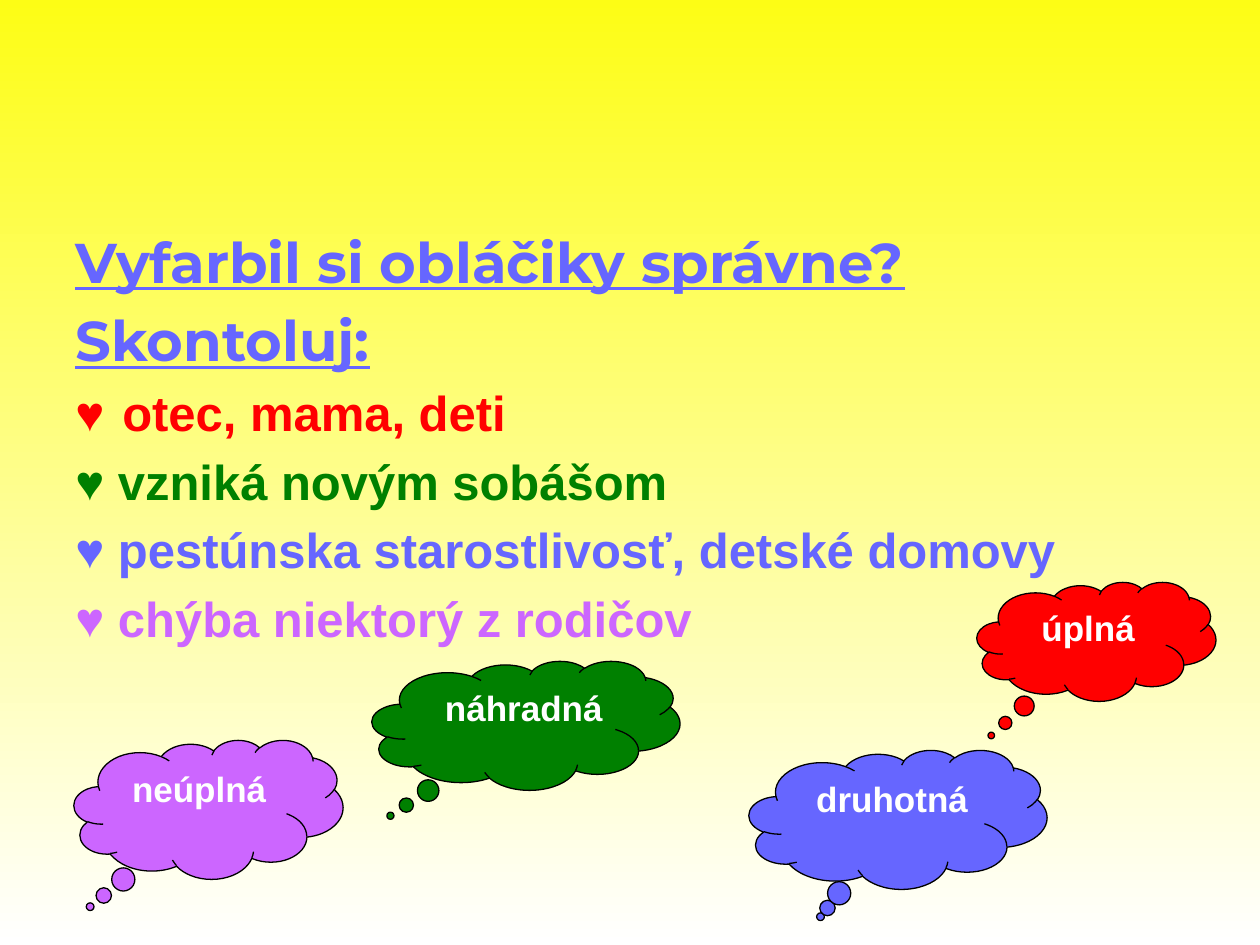
"""Builds the slide on family structure with four coloured thought clouds."""
from pptx import Presentation
from pptx.dml.color import RGBColor
from pptx.enum.shapes import MSO_SHAPE as SHAPE
from pptx.enum.text import MSO_ANCHOR as ANCHOR, PP_ALIGN as ALIGN
from pptx.util import Emu, Pt

RED, GREEN, BLUE, VIOLET = "FF0000", "008000", "6666FF", "CC66FF"
QUESTIONS = ["Vyfarbil si obláčiky správne?", "Skontoluj:"]
ANSWERS = [
    ("♥\totec, mama, deti", RED),
    ("♥ vzniká novým sobášom", GREEN),
    ("♥ pestúnska starostlivosť, detské domovy", BLUE),
    ("♥ chýba niektorý z rodičov", VIOLET),
]
CLOUDS = [
    ("druhotná", BLUE, (749, 750, 298, 139), (-0.26, 0.7), 22),
    ("úplná", RED, (977, 582, 239, 119), (-0.44, 0.79), 13),
    ("neúplná", VIOLET, (74, 740, 269, 139), (-0.44, 0.7), 13),
    ("náhradná", GREEN, (372, 661, 308, 129), (-0.44, 0.7), 30),
]


def px(n):
    return Emu(round(n * 914400 / 126))


def rgb(color):
    return RGBColor.from_string(color)


def style(p, size, color, font="Arial", underline=False):
    for r in p.runs:
        f = r.font
        f.name, f.size, f.bold, f.underline = font, Pt(size), True, underline
        f.color.rgb = rgb(color)


def set_background(s):
    fill = s.background.fill
    fill.gradient()
    fill.gradient_angle = 270
    for stop, color, position in zip(fill.gradient_stops, ("FDFD15", "FFFFFF"), (0, 1)):
        stop.color.rgb = rgb(color)
        stop.position = position


def add_body(s):
    tf = s.shapes.add_textbox(*map(px, (63, 221, 1134, 689))).text_frame
    tf.word_wrap = True
    lines = [(text, BLUE, 32, "Montserrat", True) for text in QUESTIONS]
    lines += [(text, color, 28, "Arial", False) for text, color in ANSWERS]
    for i, (text, color, size, font, underline) in enumerate(lines):
        p = tf.add_paragraph() if i else tf.paragraphs[0]
        p.text = text
        p.space_before = Pt(size * 0.2 if i else 0)
        pPr = p._p.get_or_add_pPr()
        pPr.set("marL", str(px(47)))
        pPr.set("indent", str(-px(47)))
        style(p, size, color, font, underline)


def add_cloud(s, text, color, box, tail, inset):
    sp = s.shapes.add_shape(SHAPE.CLOUD_CALLOUT, *map(px, box))
    sp.shadow.inherit = False
    sp.adjustments[0], sp.adjustments[1] = tail
    sp.fill.solid()
    sp.fill.fore_color.rgb = rgb(color)
    sp.line.color.rgb = rgb("000000")
    sp.line.width = Pt(0.75)
    tf = sp.text_frame
    tf.word_wrap = True
    tf.vertical_anchor = ANCHOR.TOP
    tf.margin_left = px(inset)
    p = tf.paragraphs[0]
    p.text = text
    p.alignment = ALIGN.CENTER
    style(p, 20, "FFFFFF")


def main():
    prs = Presentation()
    prs.slide_width, prs.slide_height = px(1260), px(945)
    s = prs.slides.add_slide(prs.slide_layouts[6])
    set_background(s)
    add_body(s)
    for cloud in CLOUDS:
        add_cloud(s, *cloud)
    prs.save("out.pptx")


if __name__ == "__main__":
    main()
